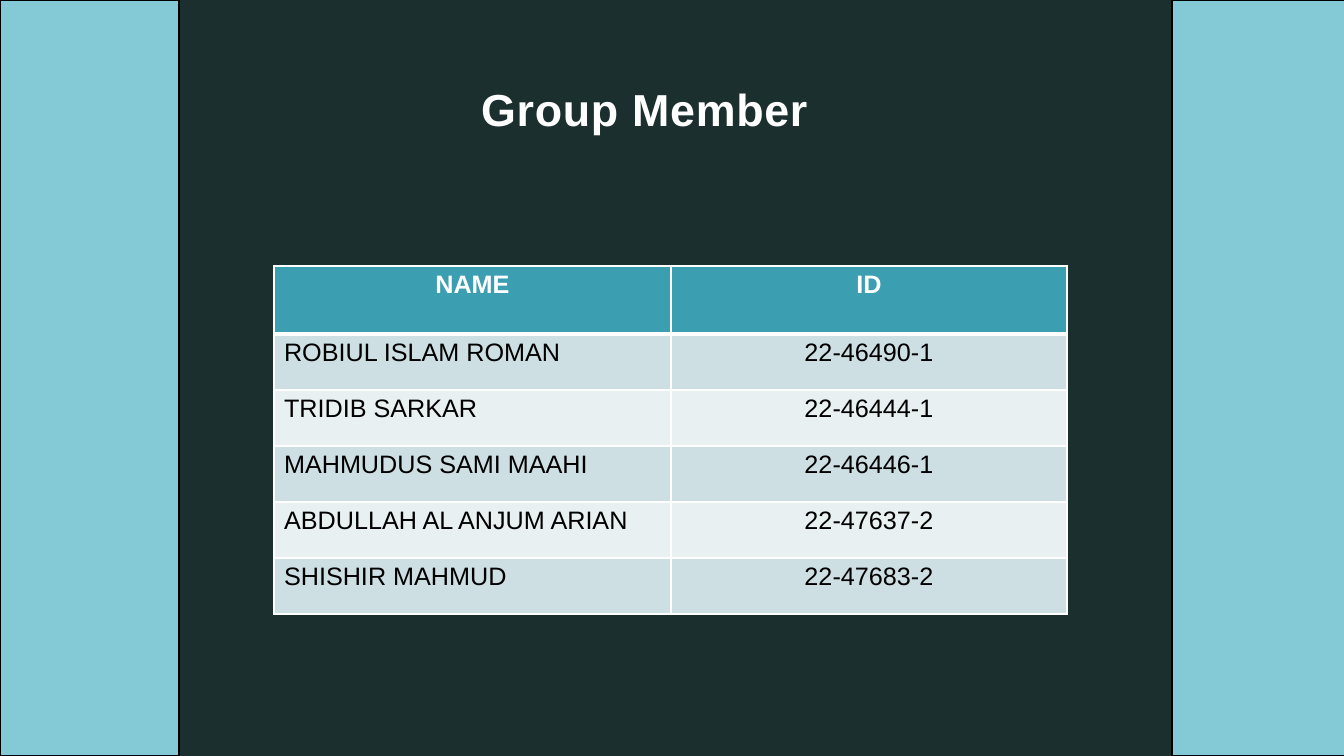
from dataclasses import dataclass

from lxml import etree
from pptx import Presentation, util as u
from pptx.dml.color import RGBColor
from pptx.enum import shapes, text
from pptx.oxml import parse_xml
from pptx.oxml.ns import nsdecls, qn

PX = 914400 / 100.8
WIDTH, HEIGHT = 1344, 756
WHITE, BLACK, TEAL = "FFFFFF", "000000", "3B9EB1"
BAND_FILLS = ("CEDFE4", "E8F0F2")
HEADER_HEIGHT, ROW_HEIGHT = 68, 56
COLUMN_WIDTHS = (397, 396)


@dataclass
class Member:
    name: str
    number: str


@dataclass
class SideBand:
    left: int
    width: int = 179


MEMBERS = [
    Member("ROBIUL ISLAM ROMAN", "22-46490-1"),
    Member("TRIDIB SARKAR", "22-46444-1"),
    Member("MAHMUDUS SAMI MAAHI", "22-46446-1"),
    Member("ABDULLAH AL ANJUM ARIAN", "22-47637-2"),
    Member("SHISHIR MAHMUD", "22-47683-2"),
]
SIDE_BANDS = [SideBand(0), SideBand(1172)]


def px(n: int) -> u.Emu:
    return u.Emu(round(n * PX))


def rgb(color: str) -> RGBColor:
    return RGBColor.from_string(color)


def put_text(tf, content: str, size: int = 18, color: str = BLACK,
             bold: bool = False, centered: bool = False):
    p = tf.paragraphs[0]
    p.alignment = text.PP_ALIGN.CENTER if centered else text.PP_ALIGN.LEFT
    r = p.add_run()
    r.text = content
    r.font.name = "Arial"
    r.font.size = u.Pt(size)
    r.font.bold = bold
    r.font.color.rgb = rgb(color)
    return r


def add_side_band(slide, band: SideBand) -> None:
    sp = slide.shapes.add_shape(shapes.MSO_SHAPE.RECTANGLE, px(band.left), 0,
                                px(band.width), px(HEIGHT))
    sp.shadow.inherit = False
    sp.fill.solid()
    sp.fill.fore_color.rgb = rgb("84C9D6")
    sp.line.color.rgb = rgb(BLACK)
    sp.line.width = u.Pt(0.85)


def add_title(slide) -> None:
    sp = slide.shapes.title
    sp.left, sp.top, sp.width, sp.height = px(471), px(77), px(402), px(64)
    tf = sp.text_frame
    tf.word_wrap = True
    tf.auto_size = text.MSO_AUTO_SIZE.SHAPE_TO_FIT_TEXT
    tf.vertical_anchor = text.MSO_ANCHOR.TOP
    r = put_text(tf, "Group Member", size=32, color="FEFEFE", bold=True)
    rpr = r.font._element
    rpr.set("spc", "50")
    color = f'<a:solidFill><a:srgbClr val="{TEAL}"/></a:solidFill>'
    outline = parse_xml(f'<a:ln {nsdecls("a")} w="9525">{color}</a:ln>')
    shadow = parse_xml(
        f'<a:effectLst {nsdecls("a")}><a:outerShdw dist="25400" dir="2700000">'
        f'<a:srgbClr val="{TEAL}"/></a:outerShdw></a:effectLst>')
    rpr.insert(0, outline)
    rpr.find(qn("a:solidFill")).addnext(shadow)


def set_borders(cell, top: int = 1, bottom: int = 1) -> None:
    """Draw white borders, with widths in points; call before filling the cell."""
    tcpr = cell._tc.get_or_add_tcPr()
    for side, points in (("L", 1), ("R", 1), ("T", top), ("B", bottom)):
        ln = etree.SubElement(tcpr, qn(f"a:ln{side}"), w=str(u.Pt(points)))
        fill = etree.SubElement(ln, qn("a:solidFill"))
        etree.SubElement(fill, qn("a:srgbClr"), val=WHITE)


def add_member_table(slide) -> None:
    rows = [("NAME", "ID")] + [(m.name, m.number) for m in MEMBERS]
    height = HEADER_HEIGHT + ROW_HEIGHT * len(MEMBERS)
    table = slide.shapes.add_table(
        len(rows), len(COLUMN_WIDTHS), px(274), px(266),
        px(sum(COLUMN_WIDTHS)), px(height)).table
    for column, width in zip(table.columns, COLUMN_WIDTHS):
        column.width = px(width)
    for i, row in enumerate(rows):
        header = i == 0
        table.rows[i].height = px(HEADER_HEIGHT if header else ROW_HEIGHT)
        for j, content in enumerate(row):
            cell = table.cell(i, j)
            set_borders(cell, top=3 if i == 1 else 1, bottom=3 if header else 1)
            cell.fill.solid()
            cell.fill.fore_color.rgb = rgb(TEAL if header else BAND_FILLS[(i - 1) % 2])
            put_text(cell.text_frame, content, color=WHITE if header else BLACK,
                     bold=header, centered=header or j == 1)


def main() -> None:
    prs = Presentation()
    prs.slide_width, prs.slide_height = px(WIDTH), px(HEIGHT)
    slide = prs.slides.add_slide(prs.slide_layouts[5])
    slide.background.fill.solid()
    slide.background.fill.fore_color.rgb = rgb("1B2F2E")
    for band in SIDE_BANDS:
        add_side_band(slide, band)
    add_member_table(slide)
    add_title(slide)
    prs.save("out.pptx")


if __name__ == "__main__":
    main()
